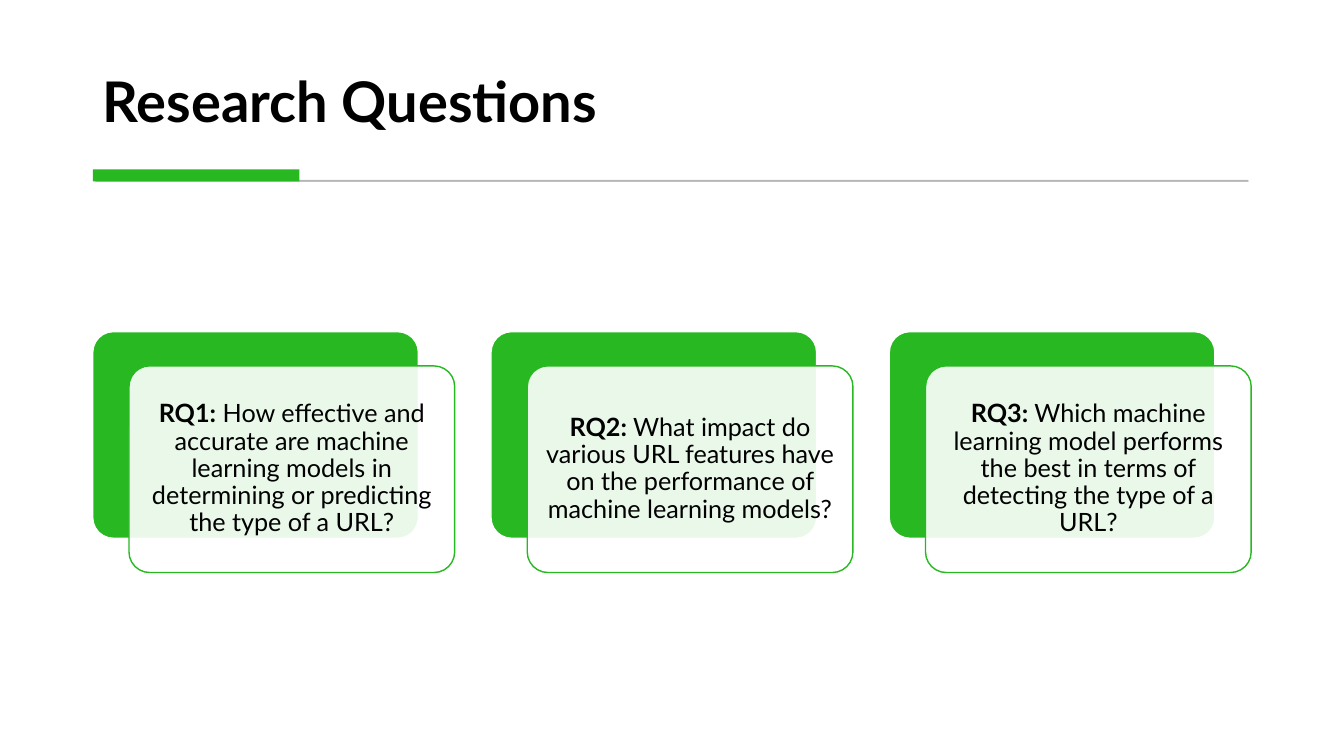
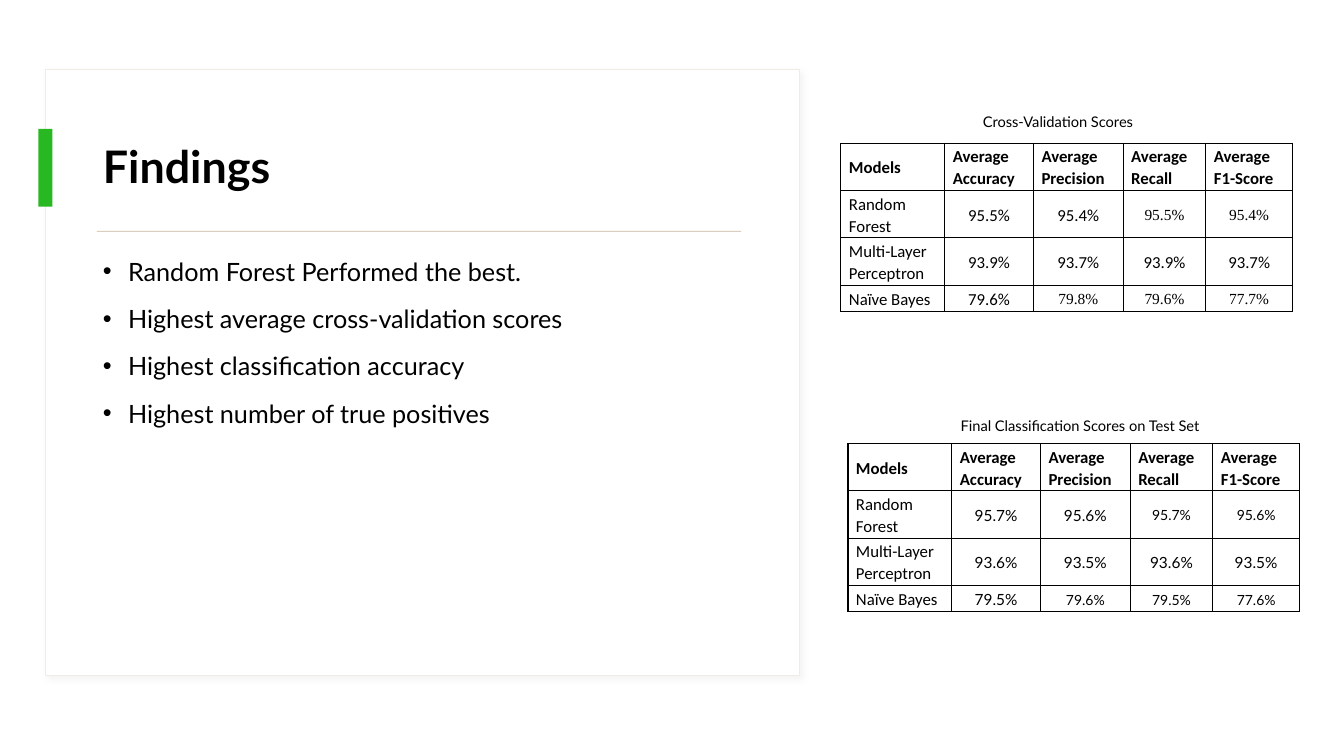
import pptx
import pptx.util
import pptx.dml.color
import pptx.enum.shapes
import pptx.enum.text
import pptx.oxml
import pptx.oxml.ns

Inches = pptx.util.Inches
Pt = pptx.util.Pt
SHAPES = pptx.enum.shapes.MSO_SHAPE
ALIGN = pptx.enum.text.PP_ALIGN
ANCHOR = pptx.enum.text.MSO_ANCHOR

COLORS = {
    "text": "000000",
    "accent": "28B821",
    "white": "FFFFFF",
    "rule": "595959",
    "panel_rule": "DACFBD",
    "panel_edge": "F0ECE5",
    "shadow": "D9D9D9",
}
FONT = "Lato"
MARGIN = 0.92

QUESTIONS = [
    ("RQ1:", "How effective and accurate are machine learning models in determining or predicting the type of a URL?"),
    ("RQ2:", "What impact do various URL features have on the performance of machine learning models?"),
    ("RQ3:", "Which machine learning model performs the best in terms of detecting the type of a URL?"),
]
FINDINGS = [
    "Random Forest Performed the best.",
    "Highest average cross-validation scores",
    "Highest classification accuracy",
    "Highest number of true positives",
]
HEADER = ["Models", "Average Accuracy", "Average Precision", "Average Recall", "Average F1-Score"]
MODELS = ["Random Forest", "Multi-Layer Perceptron", "Naïve Bayes"]
SCORE_TABLES = [
    {
        "caption": "Cross-Validation Scores",
        "caption_box": (9.65, 1.07, 1.86, 0.29),
        "origin": (8.34, 1.42),
        "scores": [
            ["95.5%", "95.4%", "95.5%", "95.4%"],
            ["93.9%", "93.7%", "93.9%", "93.7%"],
            ["79.6%", "79.8%", "79.6%", "77.7%"],
        ],
        "regular": {"font": "Calibri", "size": 12},
        "small": {"font": "Times New Roman", "size": 11},
    },
    {
        "caption": "Final Classification Scores on Test Set",
        "caption_box": (9.43, 4.09, 2.84, 0.28),
        "origin": (8.41, 4.4),
        "scores": [
            ["95.7%", "95.6%", "95.7%", "95.6%"],
            ["93.6%", "93.5%", "93.6%", "93.5%"],
            ["79.5%", "79.6%", "79.5%", "77.6%"],
        ],
        "regular": {"font": FONT, "size": 11},
        "small": {"font": FONT, "size": 10},
    },
]
COLUMN_WIDTHS = [1.03, 0.88, 0.89, 0.82, 0.86]
ROW_HEIGHTS = [0.47, 0.47, 0.47, 0.26]
SMALL_CELLS = {(1, 3), (1, 4), (3, 2), (3, 3), (3, 4)}


def rgb(name):
    return pptx.dml.color.RGBColor.from_string(COLORS[name])


def xml(tag, inner="", attributes=""):
    namespace = pptx.oxml.ns.nsdecls("a")
    return pptx.oxml.parse_xml(f"<a:{tag} {namespace} {attributes}>{inner}</a:{tag}>")


def place(shape, box):
    shape.left, shape.top, shape.width, shape.height = map(Inches, box)


def write(frame, paragraphs, size=18, font=FONT, bold=False, align=ALIGN.LEFT,
          spacing=1.0, before=0, after=0, bullet=False):
    frame.word_wrap = True
    for index, runs in enumerate(paragraphs):
        paragraph = frame.paragraphs[0] if index == 0 else frame.add_paragraph()
        paragraph.alignment = align
        paragraph.line_spacing = spacing
        paragraph.space_before = Pt(before)
        paragraph.space_after = Pt(after)
        if bullet:
            properties = paragraph._p.get_or_add_pPr()
            properties.set("marL", str(Inches(0.25)))
            properties.set("indent", str(-Inches(0.25)))
            properties.append(xml("buFont", attributes='typeface="Arial"'))
            properties.append(xml("buChar", attributes='char="•"'))
        for text, run_bold in [(runs, bold)] if isinstance(runs, str) else runs:
            run = paragraph.add_run()
            run.text = text
            run.font.name = font
            run.font.size = Pt(size)
            run.font.bold = run_bold
            run.font.color.rgb = rgb("text")


def set_alpha(fill, percent):
    color = fill._xPr.find(".//" + pptx.oxml.ns.qn("a:srgbClr"))
    color.append(xml("alpha", attributes=f'val="{percent * 1000}"'))


def add_block(slide, box, fill, line=None, width=1, kind=SHAPES.RECTANGLE, alpha=None):
    shape = slide.shapes.add_shape(kind, *map(Inches, box))
    shape.shadow.inherit = False
    shape.fill.solid()
    shape.fill.fore_color.rgb = rgb(fill)
    if alpha:
        set_alpha(shape.fill, alpha)
    if line:
        shape.line.color.rgb = rgb(line)
        shape.line.width = Pt(width)
    else:
        shape.line.fill.background()
    if kind == SHAPES.ROUNDED_RECTANGLE:
        shape.adjustments[0] = 0.1
    return shape


def add_titled_slide(presentation, layout, title, box, size, anchor):
    slide = presentation.slides.add_slide(presentation.slide_layouts[layout])
    place(slide.shapes.title, box)
    frame = slide.shapes.title.text_frame
    frame.auto_size = pptx.enum.text.MSO_AUTO_SIZE.NONE
    frame.vertical_anchor = anchor
    write(frame, [title], size=size, bold=True, spacing=0.9)
    return slide


def build_questions(presentation):
    slide = add_titled_slide(presentation, 5, "Research Questions",
                             (MARGIN, 0.28, 11.49, 1.11), 40, ANCHOR.BOTTOM)
    rule = add_block(slide, (0.95, 1.79, 11.43, 0.01), "rule", line="rule", width=0.75, alpha=30)
    set_alpha(rule.line.fill, 30)
    add_block(slide, (MARGIN, 1.68, 2.05, 0.12), "accent")
    card_width, card_height, pitch = 3.23, 2.05, 3.95
    for index, (label, question) in enumerate(QUESTIONS):
        left, top = MARGIN + index * pitch, 3.29
        add_block(slide, (left, top, card_width, card_height), "accent", line="white",
                  kind=SHAPES.ROUNDED_RECTANGLE)
        card = add_block(slide, (left + 0.36, top + 0.34, card_width, card_height), "white",
                         line="accent", kind=SHAPES.ROUNDED_RECTANGLE, alpha=90)
        frame = card.text_frame
        frame.margin_left = frame.margin_right = Inches(0.07)
        frame.margin_top = frame.margin_bottom = Inches(0.07)
        frame.vertical_anchor = ANCHOR.MIDDLE
        write(frame, [[(label, True), (" " + question, False)]], align=ALIGN.CENTER, spacing=0.9)


def format_cell(cell, text, **style):
    cell.margin_left = cell.margin_right = Inches(0.08)
    cell.margin_top, cell.margin_bottom = Inches(0.01), 0
    cell.vertical_anchor = ANCHOR.MIDDLE
    write(cell.text_frame, [text], spacing=1.07, after=8, **style)
    properties = cell._tc.get_or_add_tcPr()
    for side in "LRTB":
        fill = f'<a:solidFill><a:srgbClr val="{COLORS["text"]}"/></a:solidFill>'
        properties.append(xml("ln" + side, fill, f'w="{Pt(1)}"'))
    cell.fill.background()


def add_scores(slide, data):
    rows = [HEADER] + [[model] + scores for model, scores in zip(MODELS, data["scores"])]
    box = (*data["origin"], sum(COLUMN_WIDTHS), sum(ROW_HEIGHTS))
    table = slide.shapes.add_table(len(rows), len(HEADER), *map(Inches, box)).table
    for column, width in zip(table.columns, COLUMN_WIDTHS):
        column.width = Inches(width)
    for row_index, row in enumerate(rows):
        table.rows[row_index].height = Inches(ROW_HEIGHTS[row_index])
        for column_index, text in enumerate(row):
            if row_index == 0 or column_index == 0:
                style = {"font": "Calibri", "size": 12, "bold": row_index == 0, "align": ALIGN.JUSTIFY}
            else:
                kind = "small" if (row_index, column_index) in SMALL_CELLS else "regular"
                style = {**data[kind], "align": ALIGN.CENTER}
            format_cell(table.cell(row_index, column_index), text, **style)
    caption = slide.shapes.add_textbox(*map(Inches, data["caption_box"]))
    write(caption.text_frame, [data["caption"]], size=10.5)


def build_findings(presentation):
    slide = add_titled_slide(presentation, 1, "Findings",
                             (MARGIN, 1.07, 6.55, 1.21), 32, ANCHOR.MIDDLE)
    panel = add_block(slide, (0.45, 0.69, 7.48, 6.01), "white", line="panel_edge", width=0.75)
    panel._element.spPr.find(pptx.oxml.ns.qn("a:effectLst")).append(xml(
        "outerShdw",
        f'<a:srgbClr val="{COLORS["shadow"]}"><a:alpha val="30000"/></a:srgbClr>',
        f'blurRad="{Pt(4)}" dist="{Pt(3)}" dir="{45 * 60000}"'))
    slide.shapes._spTree.insert(2, panel._element)
    add_block(slide, (0.38, 1.28, 0.14, 0.77), "accent")
    add_block(slide, (0.96, 2.29, 6.39, 0.01), "panel_rule")
    body = slide.placeholders[1]
    place(body, (MARGIN, 2.46, 6.55, 3.89))
    body.text_frame.auto_size = pptx.enum.text.MSO_AUTO_SIZE.NONE
    write(body.text_frame, FINDINGS, spacing=1.1, before=10, bullet=True)
    for data in SCORE_TABLES:
        add_scores(slide, data)


def main():
    presentation = pptx.Presentation()
    presentation.slide_width, presentation.slide_height = Inches(13.33), Inches(7.5)
    build_questions(presentation)
    build_findings(presentation)
    presentation.save("out.pptx")


if __name__ == "__main__":
    main()
